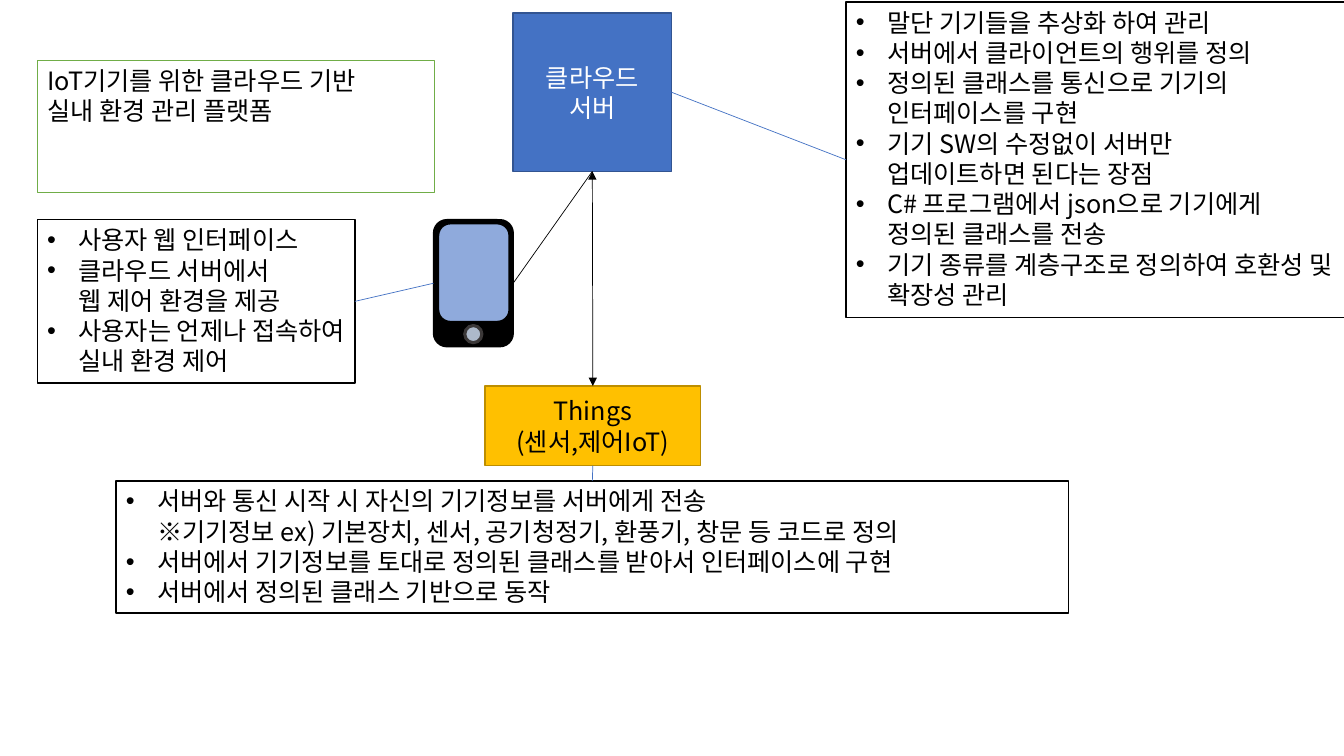
import copy
import dataclasses
import typing

import lxml.etree
import pptx
import pptx.dml.color
import pptx.enum.shapes
import pptx.enum.text
import pptx.oxml.ns
import pptx.util

Inches = pptx.util.Inches
Pt = pptx.util.Pt
Preset = pptx.enum.shapes.MSO_SHAPE
Align = pptx.enum.text.PP_ALIGN
Anchor = pptx.enum.text.MSO_ANCHOR
qn = pptx.oxml.ns.qn


@dataclasses.dataclass(frozen=True)
class Theme:
    font: str = "Noto Sans CJK KR"
    text_size: float = 18
    outline: float = 1
    thin: float = 0.5
    button_ring: float = 2.25
    white: str = "FFFFFF"
    black: str = "000000"
    blue: str = "4472C4"
    dark_blue: str = "325491"
    gold: str = "FFC000"
    dark_gold: str = "BD8E00"
    green: str = "70AD47"
    screen: str = "8FAADC"
    button: str = "ADB9CA"
    ring: str = "3B3838"


THEME = Theme()


@dataclasses.dataclass(frozen=True)
class Block:
    """A filled shape; a line break inside a paragraph is written as \\v."""
    left: float
    top: float
    width: float
    height: float
    fill: str = THEME.white
    line: str = THEME.black
    line_width: float = THEME.outline
    preset: typing.Any = Preset.RECTANGLE
    paragraphs: tuple[str, ...] = ()
    text_color: str = THEME.black
    centered: bool = False
    bulleted: bool = False


class Side:
    TOP, LEFT, BOTTOM, RIGHT = range(4)


@dataclasses.dataclass(frozen=True)
class Link:
    start: str
    start_side: int
    end: str
    end_side: int
    color: str
    arrows: bool = False


def rgb(value: str) -> pptx.dml.color.RGBColor:
    return pptx.dml.color.RGBColor.from_string(value)


def apply(target: typing.Any, formats: dict[str, typing.Any]) -> None:
    for name, value in formats.items():
        setattr(target, name, value)


def add_bullet(para: typing.Any) -> None:
    properties = para._p.get_or_add_pPr()
    properties.set("marL", str(Inches(0.31)))
    properties.set("indent", str(-Inches(0.31)))
    lxml.etree.SubElement(properties, qn("a:buFont"), typeface="Arial")
    lxml.etree.SubElement(properties, qn("a:buChar"), char="•")


def write_text(box: typing.Any, block: Block) -> None:
    frame = box.text_frame
    apply(frame, {
        "word_wrap": True,
        "auto_size": pptx.enum.text.MSO_AUTO_SIZE.NONE,
        "vertical_anchor": Anchor.MIDDLE if block.centered else Anchor.TOP,
    })
    frame.text = "\n".join(block.paragraphs)
    for para in frame.paragraphs:
        apply(para, {
            "alignment": Align.CENTER if block.centered else Align.LEFT,
            "line_spacing": 1.0,
            "space_before": Pt(0),
            "space_after": Pt(0),
        })
        if block.bulleted:
            add_bullet(para)
        for span in para.runs:
            apply(span.font, {"name": THEME.font, "size": Pt(THEME.text_size)})
            span.font.color.rgb = rgb(block.text_color)
            lxml.etree.SubElement(span._r.rPr, qn("a:ea"), typeface=THEME.font)
        # Line breaks take the format of the text around them
        for line_break in para._p.findall(qn("a:br")):
            line_break.append(copy.deepcopy(para.runs[0]._r.rPr))


def format_box(box: typing.Any, block: Block) -> None:
    box.fill.solid()
    box.fill.fore_color.rgb = rgb(block.fill)
    box.line.color.rgb = rgb(block.line)
    box.line.width = Pt(block.line_width)
    if block.paragraphs:
        write_text(box, block)


def add_block(shapes: typing.Any, block: Block) -> typing.Any:
    edges = map(Inches, (block.left, block.top, block.width, block.height))
    box = shapes.add_shape(block.preset, *edges)
    box.shadow.inherit = False
    format_box(box, block)
    return box


def add_link(shapes: typing.Any, link: Link, boxes: dict[str, typing.Any]) -> None:
    connector = shapes.add_connector(pptx.enum.shapes.MSO_CONNECTOR.STRAIGHT, 0, 0, 0, 0)
    connector.begin_connect(boxes[link.start], link.start_side)
    connector.end_connect(boxes[link.end], link.end_side)
    connector.line.color.rgb = rgb(link.color)
    connector.line.width = Pt(THEME.thin)
    if link.arrows:
        for end in ("a:headEnd", "a:tailEnd"):
            lxml.etree.SubElement(connector.line._ln, qn(end), type="triangle")
    lxml.etree.SubElement(connector._element.spPr, qn("a:effectLst"))


TITLE = Block(0.37, 0.6, 3.94, 1.31, line=THEME.green,
              paragraphs=("IoT기기를 위한 클라우드 기반\v실내 환경 관리 플랫폼",))

BLOCKS = {
    "server": Block(5.09, 0.13, 1.57, 1.57, THEME.blue, THEME.dark_blue,
                    paragraphs=("클라우드\v서버",), text_color=THEME.white, centered=True),
    "things": Block(4.81, 3.83, 2.14, 0.79, THEME.gold, THEME.dark_gold,
                    paragraphs=("Things\v(센서,제어IoT)",), centered=True),
    "things notes": Block(1.15, 4.77, 9.45, 1.31, bulleted=True, paragraphs=(
        "서버와 통신 시작 시 자신의 기기정보를 서버에게 전송\v"
        "※기기정보 ex) 기본장치, 센서, 공기청정기, 환풍기, 창문 등 코드로 정의",
        "서버에서 기기정보를 토대로 정의된 클래스를 받아서 인터페이스에 구현",
        "서버에서 정의된 클래스 기반으로 동작",
    )),
    "server notes": Block(8.39, 0.02, 4.96, 3.13, bulleted=True, paragraphs=(
        "말단 기기들을 추상화 하여 관리",
        "서버에서 클라이언트의 행위를 정의",
        "정의된 클래스를 통신으로 기기의\v인터페이스를 구현",
        "기기 SW의 수정없이 서버만\v업데이트하면 된다는 장점",
        "C# 프로그램에서 json으로 기기에게\v정의된 클래스를 전송",
        "기기 종류를 계층구조로 정의하여 호환성 및 확장성 관리",
    )),
    "phone notes": Block(0.37, 2.18, 3.15, 1.62, bulleted=True, paragraphs=(
        "사용자 웹 인터페이스",
        "클라우드 서버에서\v웹 제어 환경을 제공",
        "사용자는 언제나 접속하여 실내 환경 제어",
    )),
}

PHONE_PARTS = {
    "phone": Block(4.3, 2.18, 0.79, 1.26, THEME.black, preset=Preset.ROUNDED_RECTANGLE),
    "screen": Block(4.35, 2.22, 0.7, 0.97, THEME.screen, preset=Preset.ROUNDED_RECTANGLE),
    "button": Block(4.61, 3.23, 0.17, 0.17, THEME.button, THEME.ring,
                    THEME.button_ring, Preset.OVAL),
}

LINKS = (
    Link("server", Side.RIGHT, "server notes", Side.LEFT, THEME.blue),
    Link("things", Side.TOP, "server", Side.BOTTOM, THEME.black, arrows=True),
    Link("phone", Side.RIGHT, "server", Side.BOTTOM, THEME.black),
    Link("things", Side.BOTTOM, "things notes", Side.TOP, THEME.blue),
    Link("phone notes", Side.RIGHT, "phone", Side.LEFT, THEME.blue),
)

# Slide
deck = pptx.Presentation()
apply(deck, {"slide_width": Inches(13.33), "slide_height": Inches(7.5)})
page = deck.slides.add_slide(deck.slide_layouts[5])

# Title
title = page.shapes.title
for side in ("left", "top", "width", "height"):
    setattr(title, side, Inches(getattr(TITLE, side)))
format_box(title, TITLE)

# Boxes and phone
boxes = {name: add_block(page.shapes, block) for name, block in BLOCKS.items()}
phone = page.shapes.add_group_shape()
boxes.update({name: add_block(phone.shapes, block) for name, block in PHONE_PARTS.items()})

# Connections
for link in LINKS:
    add_link(page.shapes, link, boxes)

deck.save("out.pptx")
